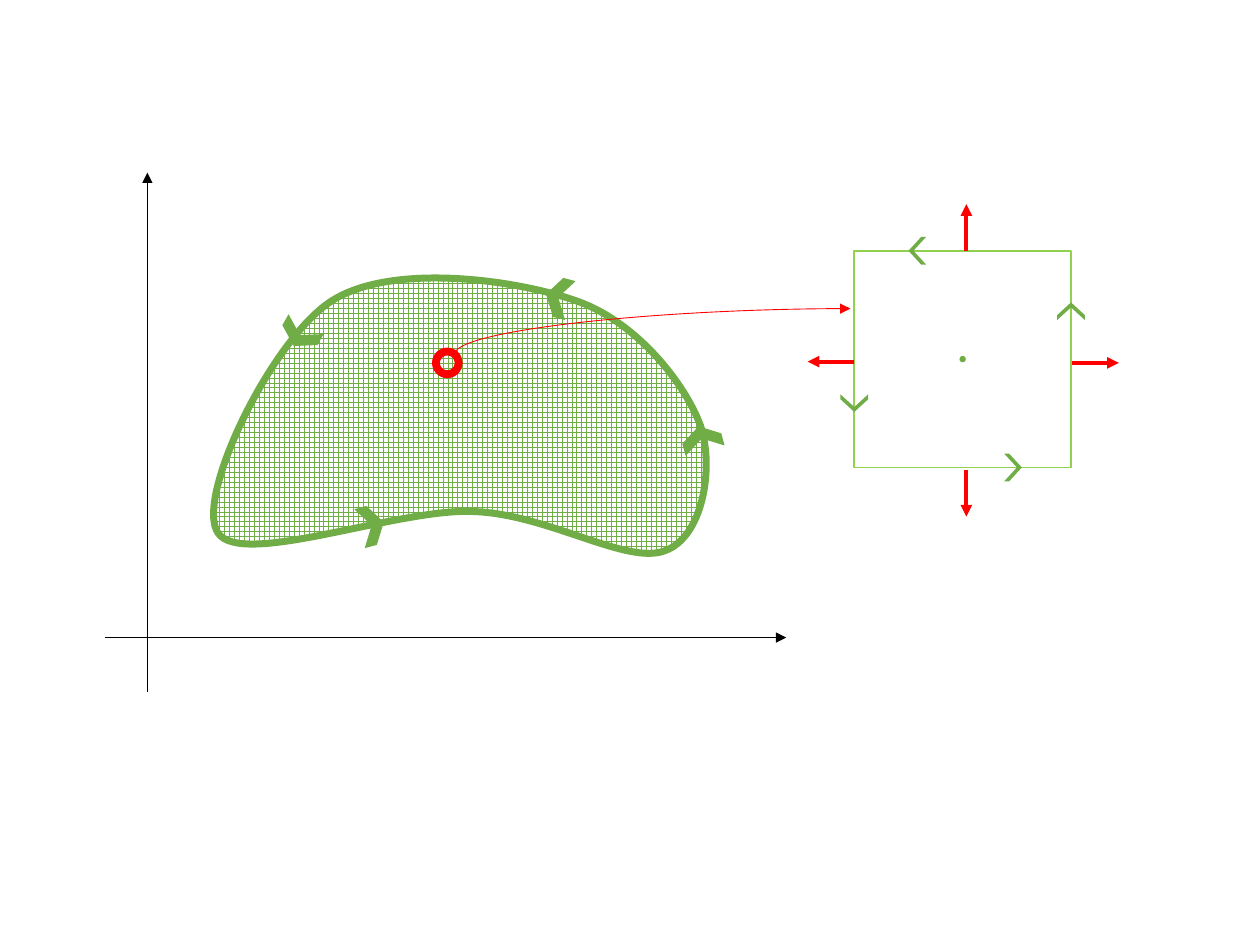
from lxml.etree import SubElement
from pptx import Presentation
from pptx.dml.color import RGBColor
from pptx.enum.dml import MSO_PATTERN
from pptx.enum.shapes import MSO_CONNECTOR as Link, MSO_SHAPE as Preset
from pptx.oxml.ns import qn
from pptx.util import Inches, Pt

GREEN = RGBColor(0x70, 0xAD, 0x47)
LIME = RGBColor(0x92, 0xD0, 0x50)
RED = RGBColor(0xFF, 0x00, 0x00)
BLACK = RGBColor(0x00, 0x00, 0x00)
WHITE = RGBColor(0xFF, 0xFF, 0xFF)

# The slide is a grid of 10 columns and 7.5 rows, each one inch.
COLUMNS, ROWS = 10, 7.5
CELL = Inches(1)

REGION_BOX = (1.69, 2.21, 3.91, 2.19)
REGION_START = (2.63, 2.39)
REGION_CURVES = [  # two control points and an end point each
    ((2.16, 2.69), (1.54, 3.95), (1.73, 4.23)),
    ((1.92, 4.51), (3.16, 4.03), (3.76, 4.06)),
    ((4.35, 4.08), (4.98, 4.49), (5.28, 4.37)),
    ((5.58, 4.26), (5.67, 3.71), (5.56, 3.38)),
    ((5.44, 3.05), (5.06, 2.56), (4.58, 2.39)),
    ((4.1, 2.22), (3.11, 2.08), REGION_START),
]
BOUNDARY_CHEVRONS = [  # column, row, rotation
    (2.38, 2.66, 119.5),
    (2.95, 4.17, 345),
    (5.57, 3.48, 255),
    (4.43, 2.36, 195),
]
LEFT, TOP, SIDE = 6.78, 1.99, 1.72
RIGHT, BOTTOM = LEFT + SIDE, TOP + SIDE
FLUX_LENGTH = 0.37


def grid(*cells):
    return [round(cell * CELL) for cell in cells]


def style(shape, fill=None, line=None, weight=1):
    shape.shadow.inherit = False
    if fill is None:
        shape.fill.background()
    else:
        shape.fill.solid()
        shape.fill.fore_color.rgb = fill
    if line is None:
        shape.line.fill.background()
    else:
        shape.line.color.rgb = line
        shape.line.width = Pt(weight)


def add_centred(page, preset, centre, size, rotation=0, **look):
    (column, row), (width, height) = centre, size
    box = grid(column - width / 2, row - height / 2, width, height)
    shape = page.shapes.add_shape(preset, *box)
    shape.rotation = rotation
    style(shape, **look)
    return shape


def add_arrow(page, start, end, color, weight, kind=Link.STRAIGHT):
    arrow = page.shapes.add_connector(kind, *grid(*start, *end))
    arrow.line.color.rgb = color
    arrow.line.width = Pt(weight)
    SubElement(arrow.line._get_or_add_ln(), qn("a:tailEnd"), type="triangle")
    SubElement(arrow._element.spPr, qn("a:effectLst"))
    return arrow


def add_callout_curve(page):
    """Quarter-curve arrow: a tall box turned 90 degrees about its centre."""
    curve = add_arrow(page, (5.36, 4.2), (5, 1.06), RED, 0.5, Link.CURVE)
    properties = curve._element.spPr
    properties.find(qn("a:xfrm")).set("rot", str(90 * 60000))
    properties.find(qn("a:prstGeom")).set("prst", "curvedConnector2")


def add_region(page):
    """Closed Bezier outline with a grid pattern."""
    builder = page.shapes.build_freeform(*grid(*REGION_START))
    builder.add_line_segments([grid(*point) for curve in REGION_CURVES for point in curve])
    region = builder.convert_to_shape()
    outline = region._element.spPr.find(".//" + qn("a:path"))

    # Every three line ends become one cubic curve.
    lines = outline.findall(qn("a:lnTo"))
    for first in range(0, len(lines), 3):
        curve = SubElement(outline, qn("a:cubicBezTo"))
        for line in lines[first:first + 3]:
            curve.append(line[0])
            outline.remove(line)
    for close in outline.findall(qn("a:close")):
        outline.remove(close)
    SubElement(outline, qn("a:close"))

    # Fit the frame to the curve instead of its control points.
    left, top, width, height = grid(*REGION_BOX)
    for point in outline.iter(qn("a:pt")):
        point.set("x", str(int(point.get("x")) + region.left - left))
        point.set("y", str(int(point.get("y")) + region.top - top))
    outline.set("w", str(width))
    outline.set("h", str(height))
    region.left, region.top, region.width, region.height = left, top, width, height

    style(region, line=GREEN, weight=4)
    region.fill.patterned()
    region.fill.pattern = MSO_PATTERN.LARGE_GRID
    region.fill.fore_color.rgb = GREEN
    region.fill.back_color.rgb = WHITE


def add_axes(page):
    add_arrow(page, (1.17, 5.49), (1.17, 1.37), BLACK, 0.5)
    add_arrow(page, (0.83, 5.06), (6.24, 5.06), BLACK, 0.5)


def add_enlarged_cell(page):
    centre = (LEFT + SIDE / 2, TOP + SIDE / 2)
    add_centred(page, Preset.RECTANGLE, centre, (SIDE, SIDE), line=LIME)
    for column, row, rotation in [
        (LEFT, TOP + 1.21, 90),
        (LEFT + 1.26, BOTTOM, 0),
        (RIGHT, TOP + 0.48, 270),
        (LEFT + 0.5, TOP, 180),
    ]:
        chevron = add_centred(page, Preset.CHEVRON, (column, row), (0.14, 0.22),
                              rotation, fill=GREEN)
        chevron.adjustments[0] = 0.72
    add_centred(page, Preset.OVAL, centre, (0.05, 0.05), fill=GREEN)


def add_flux_arrows(page):
    for column, row, across, down in [
        (7.67, TOP, 0, -1),
        (LEFT, 2.87, -1, 0),
        (7.67, 3.73, 0, 1),
        (8.51, 2.88, 1, 0),
    ]:
        tip = (column + across * FLUX_LENGTH, row + down * FLUX_LENGTH)
        add_arrow(page, (column, row), tip, RED, 2.25)


def main():
    deck = Presentation()
    deck.slide_width, deck.slide_height = grid(COLUMNS, ROWS)
    page = deck.slides.add_slide(deck.slide_layouts[6])
    add_region(page)
    add_axes(page)
    for column, row, rotation in BOUNDARY_CHEVRONS:
        add_centred(page, Preset.CHEVRON, (column, row), (0.2, 0.32), rotation, fill=GREEN)
    add_centred(page, Preset.OVAL, (3.55, 2.88), (0.18, 0.18), line=RED, weight=4.5)
    add_enlarged_cell(page)
    add_callout_curve(page)
    add_flux_arrows(page)
    deck.save("out.pptx")


if __name__ == "__main__":
    main()
